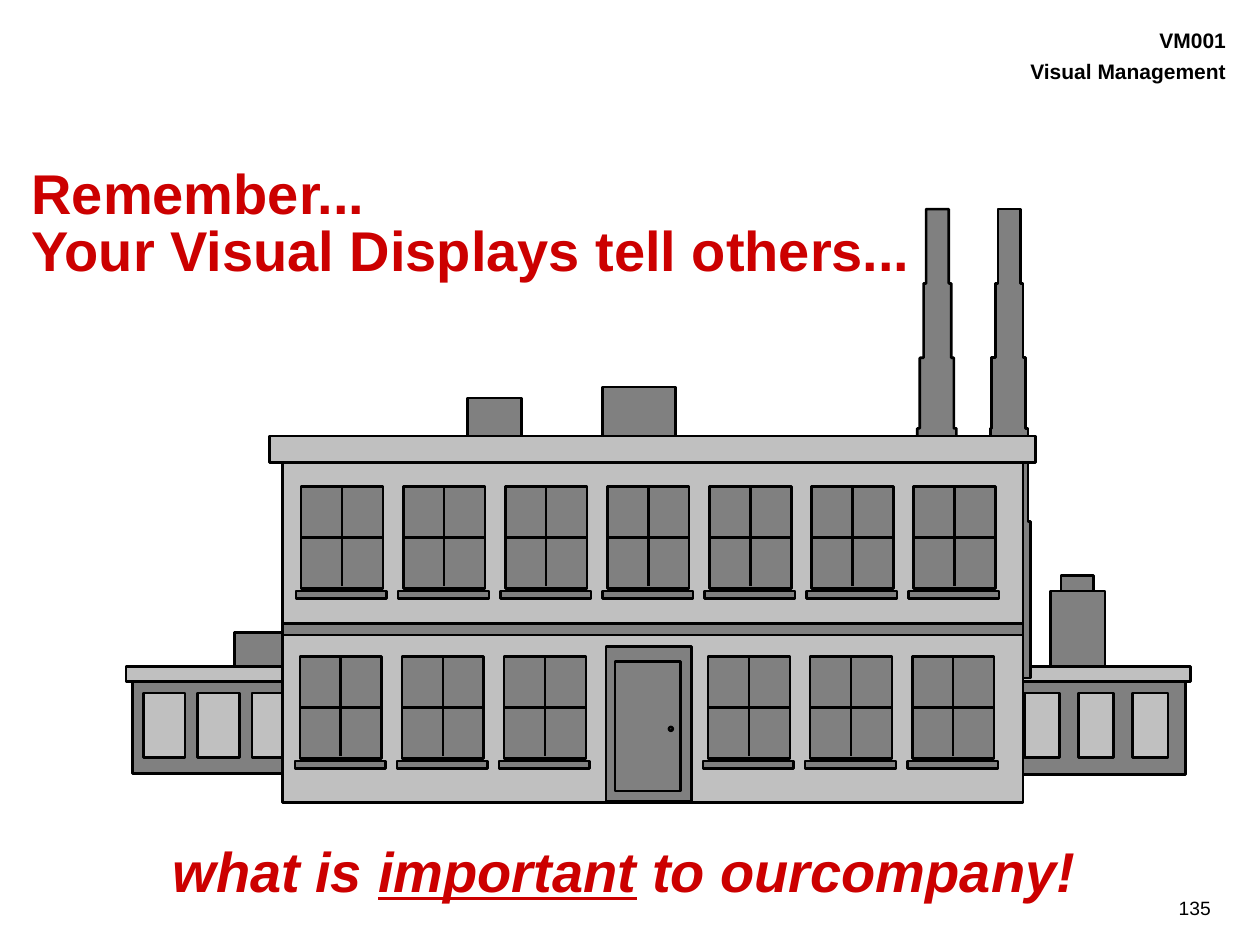
from lxml import etree
from pptx import Presentation
from pptx.dml.color import RGBColor
from pptx.enum import shapes, text
from pptx.oxml.ns import qn
from pptx.util import Inches, Pt

COLORS = {"dark": "808080", "light": "C0C0C0", "outline": "000000", "red": "CC0000", "black": "000000"}
FONT = "Arial"

HEADER = [[("VM001", False)], [("Visual Management", False)]]
TITLE = [[("Remember...", False), ("\v", False), ("Your Visual Displays tell others...", False)]]
MESSAGE = [[("what is ", False), ("important", True), (" to ourcompany!", False)]]
PAGE_NUMBER = [[("135", False)]]

RIGHT_WING = [
    (8.42, 4.57, 0.26, 0.16, "dark"),
    (8.34, 4.69, 0.43, 0.64, "dark"),
    (8.02, 5.38, 1.39, 0.77, "dark"),
    (7.97, 5.29, 1.48, 0.12, "light"),
]
LEFT_WING = [
    (1.86, 5.02, 0.46, 0.30, "dark"),
    (1.05, 5.37, 1.39, 0.77, "dark"),
    (1.00, 5.29, 1.48, 0.12, "light"),
]
WING_WINDOWS = [(8.13, 0.28), (1.14, 0.33)]
WING_PITCH = 0.43
MAIN_BUILDING = [
    (2.24, 3.61, 5.88, 2.76, "light"),
    (3.71, 3.16, 0.43, 0.32, "dark"),
    (4.78, 3.07, 0.58, 0.45, "dark"),
    (2.14, 3.46, 6.08, 0.21, "light"),
    (2.24, 4.95, 5.88, 0.09, "dark"),
]
DOOR = [(4.81, 5.13, 0.68, 1.23, "dark"), (4.88, 5.25, 0.52, 1.03, "dark")]
DOOR_COLUMN = 3
WINDOW_ROWS = [(2.39, 3.86, range(7)), (2.38, 5.21, [c for c in range(7) if c != DOOR_COLUMN])]
WINDOW_PITCH = 0.81
WINDOW_WIDTH, WINDOW_HEIGHT = 0.65, 0.81

CHIMNEY_LEVELS = [1.66, 2.25, 2.84, 3.4, 4.14, 5.38]
CHIMNEYS = [
    ([7.35, 7.33, 7.30, 7.28, 7.27], [7.53, 7.55, 7.57, 7.59], [(7.44, 5.38)]),
    ([7.92, 7.90, 7.87, 7.86, 7.84], [8.10, 8.12, 8.14, 8.16, 8.18], []),
]


def color(name):
    return RGBColor.from_string(COLORS[name])


def add_text(slide, box, paragraphs, size, tint="black", bold=False, italic=False,
             align=text.PP_ALIGN.LEFT, insets=(0, 0), line_spacing=None, gap=0):
    shape = slide.shapes.add_textbox(*map(Inches, box))
    frame = shape.text_frame
    frame.word_wrap = True
    frame.vertical_anchor = text.MSO_ANCHOR.TOP
    frame.margin_left = frame.margin_right = Inches(insets[0])
    frame.margin_top = frame.margin_bottom = Inches(insets[1])
    for index, pieces in enumerate(paragraphs):
        paragraph = frame.add_paragraph() if index else frame.paragraphs[0]
        paragraph.alignment = align
        if line_spacing:
            paragraph.line_spacing = line_spacing
        if index:
            paragraph.space_before = Pt(gap)
        for words, underline in pieces:
            if words == "\v":
                paragraph.add_line_break()
                continue
            run = paragraph.add_run()
            run.text = words
            font = run.font
            font.name, font.size, font.bold, font.italic = FONT, Pt(size), bold, italic
            font.underline = underline
            font.color.rgb = color(tint)


def paint(shape, fill):
    shape.shadow.inherit = False
    shape.fill.solid()
    shape.fill.fore_color.rgb = color(fill)
    shape.line.color.rgb = color("outline")
    shape.line.width = Pt(1.5)
    return shape


def add_block(slide, left, top, width, height, fill, kind=shapes.MSO_SHAPE.RECTANGLE):
    return paint(slide.shapes.add_shape(kind, *map(Inches, (left, top, width, height))), fill)


def add_bar(slide, start, end):
    bar = slide.shapes.add_connector(shapes.MSO_CONNECTOR.STRAIGHT, *map(Inches, start + end))
    bar.line.color.rgb = color("outline")
    bar.line.width = Pt(1.5)
    etree.SubElement(bar._element.spPr, qn("a:effectLst"))
    return bar


def add_window(slide, left, top):
    pane = add_block(slide, left, top, WINDOW_WIDTH, WINDOW_HEIGHT, "dark")
    add_block(slide, left - 0.04, top + 0.83, 0.72, 0.06, "dark")
    center, middle = left + WINDOW_WIDTH / 2, top + WINDOW_HEIGHT / 2
    mullion = add_bar(slide, (center, top), (center, top + 0.79))
    mullion.begin_connect(pane, 0)
    transom = add_bar(slide, (left, middle), (left + WINDOW_WIDTH, middle))
    transom.begin_connect(pane, 1)
    transom.end_connect(pane, 3)


def side_steps(edges):
    return [(x, y) for x, levels in zip(edges, zip(CHIMNEY_LEVELS, CHIMNEY_LEVELS[1:])) for y in levels]


def add_chimney(slide, left_edges, right_edges, foot):
    outline = side_steps(left_edges) + foot + side_steps(right_edges)[::-1]
    points = [(Inches(x), Inches(y)) for x, y in outline]
    builder = slide.shapes.build_freeform(*points[0])
    builder.add_line_segments(points[1:], close=True)
    paint(builder.convert_to_shape(), "dark")


def add_wing(slide, blocks, first_window, window_width):
    for block in blocks:
        add_block(slide, *block)
    for column in range(3):
        add_block(slide, first_window + column * WING_PITCH, 5.5, window_width, 0.51, "light")


def main():
    presentation = Presentation()
    presentation.slide_width, presentation.slide_height = Inches(10), Inches(7.5)
    slide = presentation.slides.add_slide(presentation.slide_layouts[6])

    add_text(slide, (7.39, 7.07, 2.31, 0.27), PAGE_NUMBER, 11,
             align=text.PP_ALIGN.RIGHT, insets=(0.09, 0.04))
    add_text(slide, (7.38, 0.2, 2.35, 0.88), HEADER, 12, bold=True,
             align=text.PP_ALIGN.RIGHT, insets=(0, 0.02), gap=3)
    add_text(slide, (0.25, 1.34, 9.17, 1.25), TITLE, 32, tint="red", bold=True, line_spacing=0.85)
    add_text(slide, (1.27, 6.59, 7.45, 0.64), MESSAGE, 32, tint="red", bold=True, italic=True,
             insets=(0.1, 0.05))

    for blocks, windows in zip((RIGHT_WING, LEFT_WING), WING_WINDOWS):
        add_wing(slide, blocks, *windows)
    for chimney in CHIMNEYS:
        add_chimney(slide, *chimney)
    for block in MAIN_BUILDING:
        add_block(slide, *block)
    for first, top, columns in WINDOW_ROWS:
        for column in columns:
            add_window(slide, first + column * WINDOW_PITCH, top)
    for block in DOOR:
        add_block(slide, *block)
    add_block(slide, 5.31, 5.77, 0.03, 0.03, "light", shapes.MSO_SHAPE.OVAL)

    presentation.save("out.pptx")


if __name__ == "__main__":
    main()
